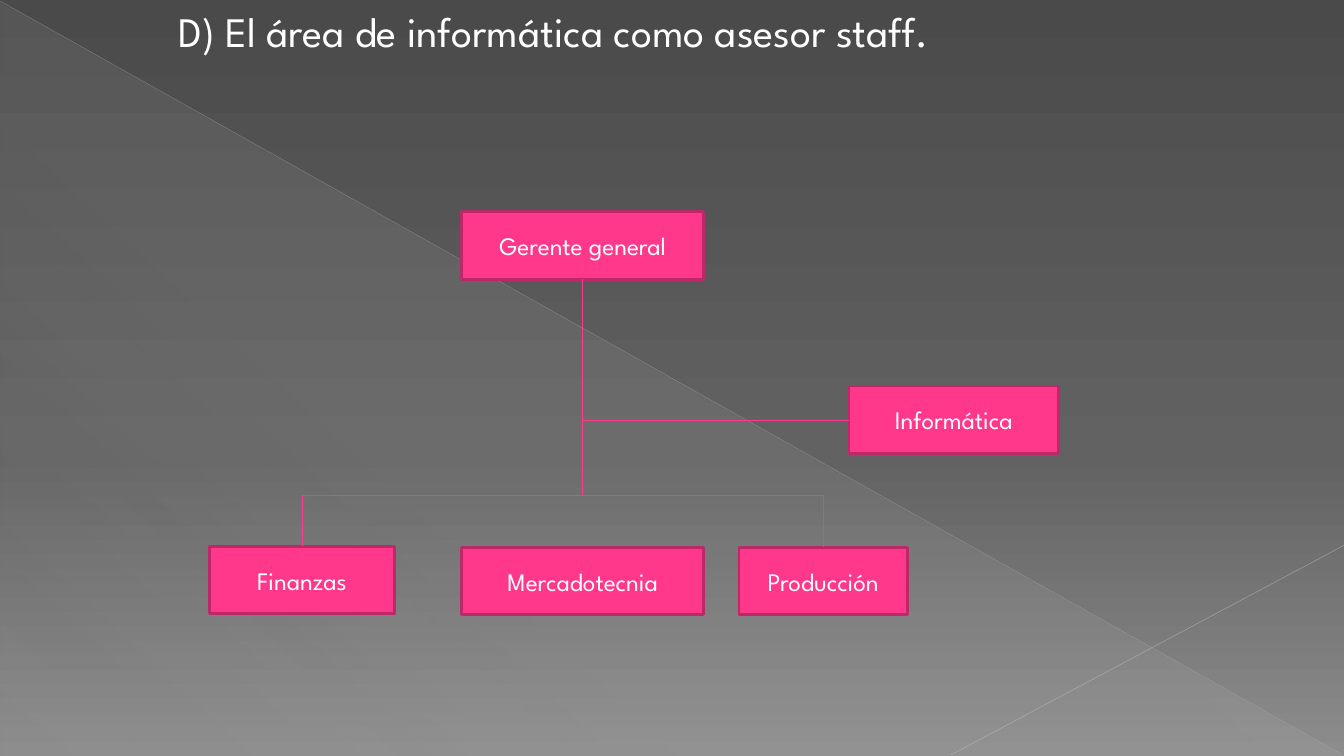
from lxml import etree
from pptx import Presentation
from pptx.dml.color import RGBColor
from pptx.enum import shapes as sh, text as tx
from pptx.oxml.ns import qn
from pptx.util import Inches, Pt

THEME = {
    "font": "League Spartan", "text": "FFFFFF", "head": 30, "label": 18,
    "box": "FF388C", "edge": "BD2968", "rim": 2, "link": 0.75,
    "back": [(0, "4A4A4A", 100), (60, "626262", 100), (100, "8C8C8C", 100)],
    "sheen": [(0, "D2D2D2", 10), (70, "D2D2D2", 8), (100, "D2D2D2", 1)],
}


def shade(fill, root, stops, angle):
    """Give a fill a linear gradient of (position, colour, opacity) stops."""
    fill.gradient()
    grad = root.find(".//" + qn("a:gradFill"))
    grad.find(qn("a:lin")).set("ang", str(angle * 60000))
    items = grad.find(qn("a:gsLst"))
    for old in list(items):
        items.remove(old)
    for pos, tint, alpha in stops:
        stop = etree.SubElement(items, qn("a:gs"), pos=str(pos * 1000))
        color = etree.SubElement(stop, qn("a:srgbClr"), val=tint)
        etree.SubElement(color, qn("a:alpha"), val=str(alpha * 1000))


def draw(x1, y1, x2, y2, tint, width, alpha=100):
    """Draw a straight line without shadow."""
    line = slide.shapes.add_connector(
        sh.MSO_CONNECTOR.STRAIGHT, *map(Inches, (x1, y1, x2, y2)))
    line.line.color.rgb = RGBColor.from_string(tint)
    line.line.width = Pt(width)
    etree.SubElement(line._element.spPr, qn("a:effectLst"))
    if alpha < 100:
        color = line._element.find(".//" + qn("a:srgbClr"))
        etree.SubElement(color, qn("a:alpha"), val=str(alpha * 1000))


prs = Presentation()
prs.slide_width, prs.slide_height = Inches(13.33), Inches(7.5)
slide = prs.slides.add_slide(prs.slide_layouts[1])
title, body = slide.placeholders
title._element.getparent().remove(title._element)

# Background and its decoration
shade(slide.background.fill, slide._element, THEME["back"], 90)
sheen = slide.shapes.add_shape(
    sh.MSO_SHAPE.RIGHT_TRIANGLE, *map(Inches, (0.01, 0.02, 13.31, 7.48)))
sheen.shadow.inherit = False
sheen.line.fill.background()
shade(sheen.fill, sheen._element, THEME["sheen"], 133)
draw(0, 0.01, 13.32, 7.49, "BFBFBF", 0.39, 35)
draw(13.33, 5.41, 9.43, 7.49, "C6C6C6", 0.47, 45)

# Heading, in front of the decoration
slide.shapes._spTree.append(body._element)
body.left, body.top, body.width, body.height = map(Inches, (1.67, 0, 10, 7.33))
body.text_frame.text = "D) El área de informática como asesor staff."
head = body.text_frame.paragraphs[0]
props = head._p.get_or_add_pPr()
props.set("marL", "0")
props.set("indent", "0")
etree.SubElement(props, qn("a:buNone"))
head.space_before = Pt(0)
labels = [(head, THEME["head"])]

# Boxes of the chart: name, left, top, width
for name, left, top, width in [
    ("Gerente general", 4.58, 2.1, 2.4),
    ("Informática", 8.42, 3.83, 2.08),
    ("Finanzas", 2.08, 5.42, 1.83),
    ("Mercadotecnia", 4.58, 5.43, 2.4),
    ("Producción", 7.33, 5.43, 1.67),
]:
    box = slide.shapes.add_shape(
        sh.MSO_SHAPE.FLOWCHART_PROCESS, *map(Inches, (left, top, width, 0.67)))
    box.shadow.inherit = False
    box.fill.solid()
    box.fill.fore_color.rgb = RGBColor.from_string(THEME["box"])
    box.line.color.rgb = RGBColor.from_string(THEME["edge"])
    box.line.width = Pt(THEME["rim"])
    box.text_frame.text = name
    box.text_frame.vertical_anchor = tx.MSO_ANCHOR.MIDDLE
    para = box.text_frame.paragraphs[0]
    para.alignment = tx.PP_ALIGN.CENTER
    labels.append((para, THEME["label"]))

# Type
for para, size in labels:
    font = para.runs[0].font
    for key, value in {"name": THEME["font"], "size": Pt(size)}.items():
        setattr(font, key, value)
    font.color.rgb = RGBColor.from_string(THEME["text"])

# Links: trunk, staff branch, then the bar with its two drops
trunk, bar, first, last = 5.78, 4.92, 3, 8.17
for ends in [
    (trunk, 2.77, trunk, bar),
    (8.42, 4.17, trunk, 4.17),
    (first, 5.42, first, bar),
    (first, bar, last, bar),
    (last, bar, last, 5.43),
]:
    draw(*ends, THEME["box"], THEME["link"])

prs.save("out.pptx")
